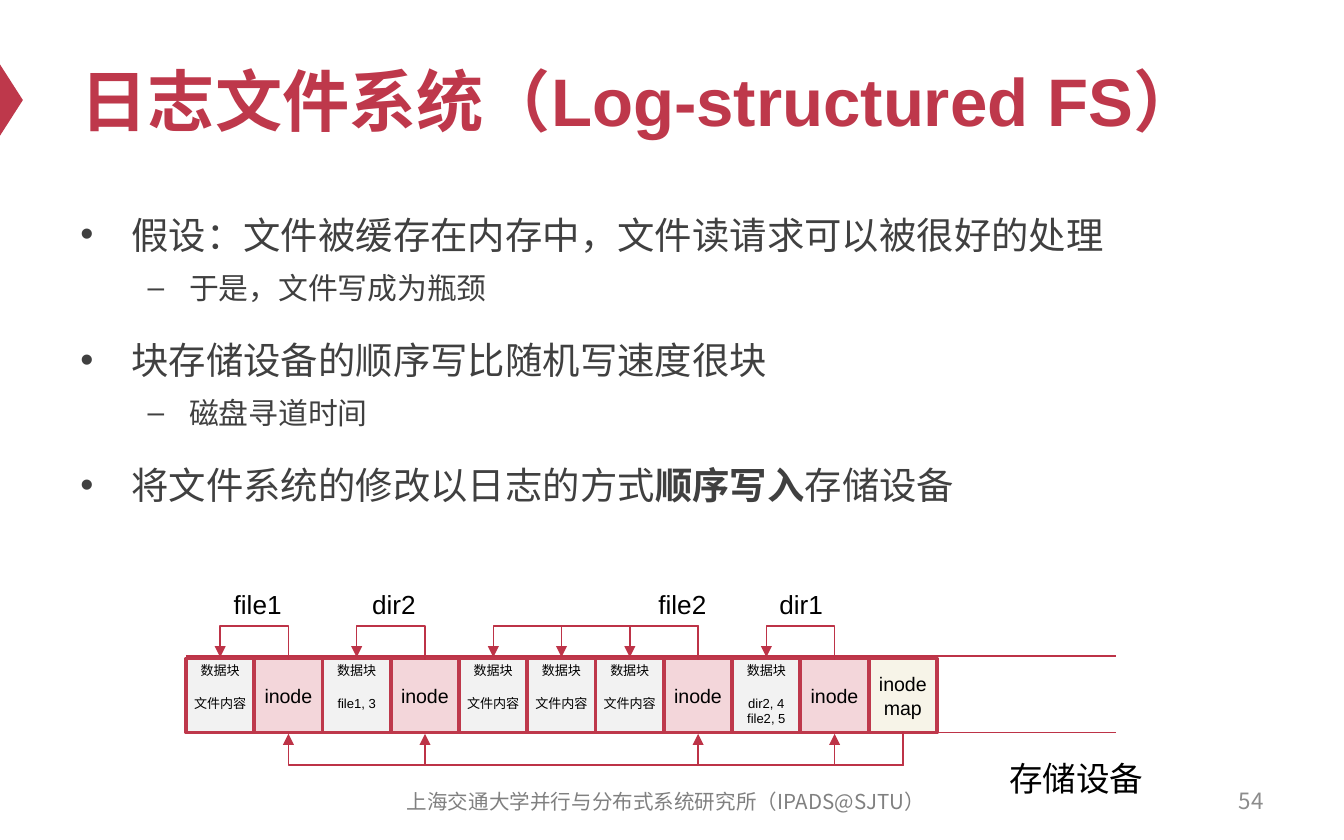
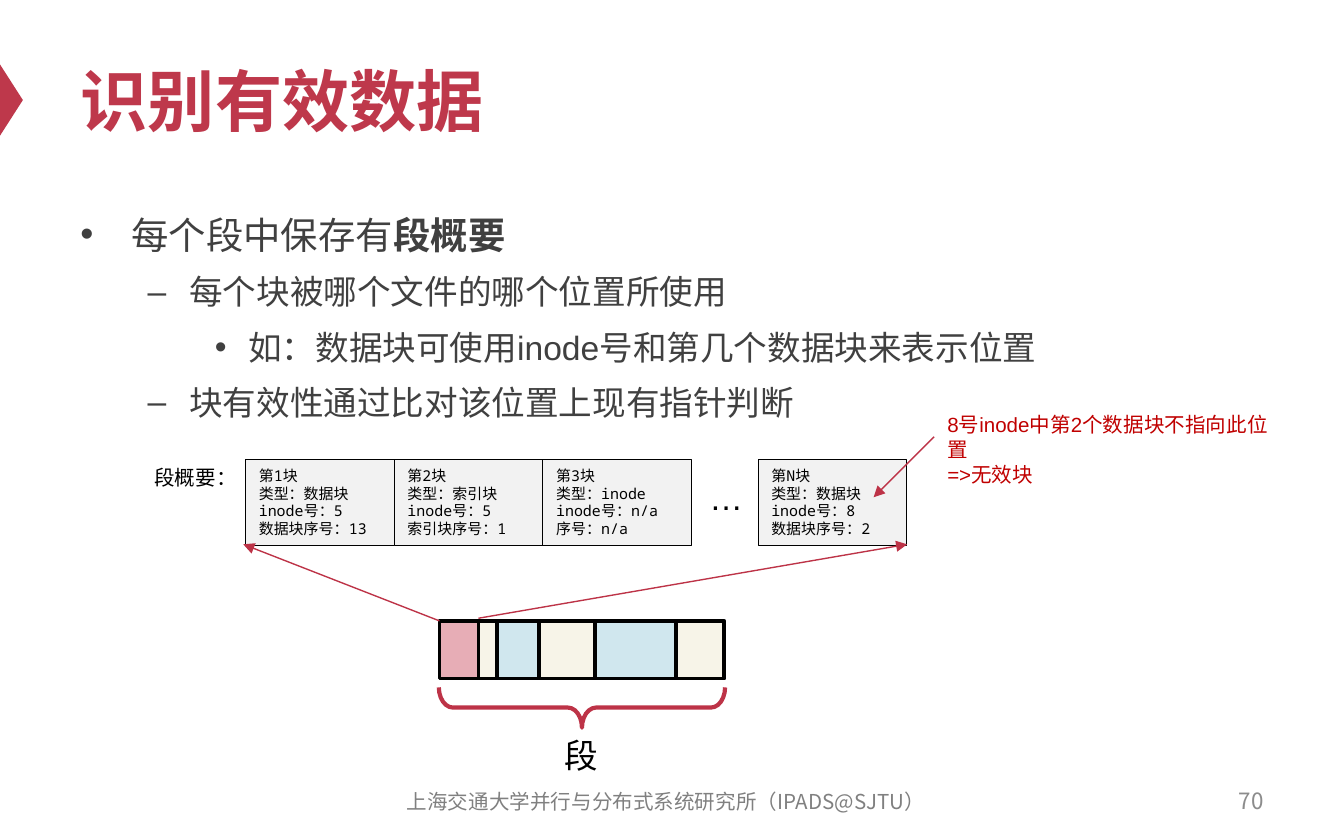
from lxml.etree import SubElement
from pptx import Presentation
from pptx.enum.shapes import MSO_CONNECTOR as Link, MSO_SHAPE as Preset
from pptx.enum.text import MSO_ANCHOR as Anchor, MSO_AUTO_SIZE as Fit, PP_ALIGN as Align
from pptx.dml.color import RGBColor
from pptx.oxml.ns import qn
from pptx.util import Inches, Pt

COLORS = {
    "brand": "BE384B", "line": "BD3347", "text": "404040", "black": "000000",
    "number": "8C8C8C", "footer": "808080", "alert": "C00000", "data": "F2F2F2",
    "inode": "F3D6DA", "cream": "F7F4E8", "blue": "D0E7EE", "pink": "E7ADB6",
}
LATIN, CJK, MONO = "Arial", "Noto Sans CJK SC", "Noto Sans Mono"
COLUMNS, ROWS = 100, 62.5
WIDTH, HEIGHT = Inches(10), Inches(6.25)
BULLETS = [("•", 0.38, 0.38), ("–", 0.81, 0.31), ("•", 1.25, 0.25)]
FOOTER = "上海交通大学并行与分布式系统研究所（IPADS@SJTU）"


def rgb(name):
    """Return the named colour."""
    return RGBColor.from_string(COLORS[name])


def write(paragraph, text, size=18, color="black", face=LATIN, bold=False,
          align=Align.LEFT, before=0):
    """Write one paragraph, where asterisks switch emphasis on and off."""
    paragraph.alignment = align
    paragraph.space_before = Pt(before)
    for order, part in enumerate(text.split("*")):
        if not part:
            continue
        run = paragraph.add_run()
        run.text = part
        font = run.font
        font.size, font.name = Pt(size), face
        font.bold = bold or order % 2 == 1
        font.color.rgb = rgb(color)
        SubElement(font._element, qn("a:ea"), typeface=CJK)


class Deck:
    """Holds the shared style and the slide being built."""

    def __init__(self):
        """Start an empty presentation."""
        self.show = Presentation()
        self.show.slide_width, self.show.slide_height = WIDTH, HEIGHT
        self.slide = None

    def place(self, left, top, width, height):
        """Turn grid columns and rows into slide lengths."""
        across, down = WIDTH / COLUMNS, HEIGHT / ROWS
        return (round(left * across), round(top * down),
                round(width * across), round(height * down))

    def page(self, title, number):
        """Add a slide with its marker, title, number and footer."""
        self.slide = self.show.slides.add_slide(self.show.slide_layouts[5])
        marker = self.shape((-1.8, 6.6, 5.3, 1.7), Preset.ISOSCELES_TRIANGLE, "brand")
        marker.rotation = 90
        heading = self.slide.shapes.title
        heading.left, heading.top, heading.width, heading.height = self.place(5, 2.5, 90, 9.8)
        self.fill(heading.text_frame, [title], Anchor.MIDDLE, size=36, color="brand", bold=True)
        self.label((71.7, 57.9, 23.3, 3.3), [number], Anchor.MIDDLE, True, size=12,
                   color="number", face=CJK, align=Align.RIGHT)
        self.label((27.9, 58, 43.3, 3.3), [FOOTER], Anchor.MIDDLE, True, size=11,
                   color="footer", face=CJK, align=Align.CENTER)

    def fill(self, frame, lines, anchor=Anchor.TOP, wrap=True, gap=0, **style):
        """Write lines into a frame, with a gap after the first."""
        frame.vertical_anchor, frame.word_wrap = anchor, wrap
        frame.auto_size = Fit.NONE
        for order, line in enumerate(lines):
            paragraph = frame.add_paragraph() if order else frame.paragraphs[0]
            write(paragraph, line, before=gap if order == 1 else 0, **style)

    def label(self, box, lines, anchor=Anchor.TOP, wrap=False, **style):
        """Add free text."""
        frame = self.slide.shapes.add_textbox(*self.place(*box)).text_frame
        self.fill(frame, lines, anchor, wrap, **style)
        if anchor == Anchor.TOP:
            frame.auto_size = Fit.SHAPE_TO_FIT_TEXT

    def bullets(self, items):
        """Add the body list from (level, size, text) items."""
        frame = self.slide.shapes.add_textbox(*self.place(5, 14.6, 90, 41.2)).text_frame
        frame.word_wrap = True
        for order, (level, size, text) in enumerate(items):
            paragraph = frame.add_paragraph() if order else frame.paragraphs[0]
            mark, margin, hang = BULLETS[level]
            paragraph.level = level
            props = paragraph._p.get_or_add_pPr()
            props.set("marL", str(Inches(margin)))
            props.set("indent", str(-Inches(hang)))
            SubElement(props, qn("a:buFont"), typeface=LATIN)
            SubElement(props, qn("a:buChar"), char=mark)
            paragraph.line_spacing = 1.2
            before = 0 if not order else 0.2 * size if level else 12
            write(paragraph, text, size=size, color="text", before=before)

    def shape(self, box, preset=Preset.RECTANGLE, fill=None, line=None, weight=2):
        """Add a preset shape."""
        shape = self.slide.shapes.add_shape(preset, *self.place(*box))
        shape.shadow.inherit = False
        if fill:
            shape.fill.solid()
            shape.fill.fore_color.rgb = rgb(fill)
        else:
            shape.fill.background()
        if line:
            shape.line.color.rgb = rgb(line)
            shape.line.width = Pt(weight)
        else:
            shape.line.fill.background()
        return shape

    def line(self, start, end, arrow=True, kind=Link.STRAIGHT):
        """Add a thin connector from start to end."""
        link = self.slide.shapes.add_connector(kind, *self.place(*start, *end))
        link.line.color.rgb = rgb("line")
        link.line.width = Pt(0.75)
        if arrow:
            SubElement(link.line._get_or_add_ln(), qn("a:tailEnd"), type="triangle")
        SubElement(link.element.spPr, qn("a:effectLst"))
        return link

    def loop(self, source, target, row, below):
        """Add an arrow that leaves a row of blocks and turns back into it."""
        depth, rise = 0.2, 2.5
        middle, half = (source + target) / 2, (source - target) / 2
        turn = half if below else -half
        link = self.line((middle - depth / 2, row - turn),
                         (middle + depth / 2, row + turn), kind=Link.ELBOW)
        props = link.element.spPr
        props.find(qn("a:xfrm")).set("rot", str((90 if below else 270) * 60000))
        guides = props.find(qn("a:prstGeom")).find(qn("a:avLst"))
        SubElement(guides, qn("a:gd"), name="adj1",
                   fmla=f"val {round(rise / depth * 100000)}")


def log_slide(deck):
    """Build the slide on the log and its blocks."""
    deck.page("日志文件系统（Log-structured FS）", "54")
    deck.bullets([
        (0, 20, "假设：文件被缓存在内存中，文件读请求可以被很好的处理"),
        (1, 16, "于是，文件写成为瓶颈"),
        (0, 20, "块存储设备的顺序写比随机写速度很块"),
        (1, 16, "磁盘寻道时间"),
        (0, 20, "将文件系统的修改以日志的方式*顺序写入*存储设备"),
    ])
    left, top, step, tall = 13.84, 49, 5.08, 5.5
    for edge in (48.8, top + tall):
        deck.line((left, edge), (83, edge), arrow=False)
    content, inode = ["数据块", "文件内容"], ["inode"]
    blocks = [content, inode, ["数据块", "file1, 3"], inode, content, content, content,
              inode, ["数据块", "dir2, 4", "file2, 5"], inode, ["inode", "map"]]
    for order, lines in enumerate(blocks):
        is_data = lines[0] == "数据块"
        fill = "data" if is_data else "inode" if lines == inode else "cream"
        block = deck.shape((left + order * step, top, step, tall), fill=fill, line="brand")
        frame = block.text_frame
        if is_data:
            frame.margin_top = Inches(0.03)
            deck.fill(frame, lines, wrap=False, gap=9, size=7, align=Align.CENTER)
        else:
            deck.fill(frame, lines, Anchor.MIDDLE, False, size=10.5, align=Align.CENTER)

    def center(order):
        """Return the middle column of a block."""
        return left + (order + 0.5) * step

    for target in (9, 7, 3, 1):
        deck.loop(center(10), center(target), top + tall, below=True)
    for source, target in ((1, 0), (7, 6), (9, 8), (3, 2), (7, 4), (7, 5)):
        deck.loop(center(source), center(target), top, below=False)
    for name, start in (("file1", 16.4), ("dir2", 26.7), ("file2", 48), ("dir1", 57)):
        deck.label((start, 43.3, 6.5, 3.4), [name], wrap=True, size=14)
    deck.label((74.1, 55.9, 12.1, 4), ["存储设备"])


def segment_slide(deck):
    """Build the slide on the segment summary."""
    deck.page("识别有效数据", "70")
    deck.bullets([
        (0, 20, "每个段中保存有*段概要*"),
        (1, 18, "每个块被哪个文件的哪个位置所使用"),
        (2, 18, "如：数据块可使用inode号和第几个数据块来表示位置"),
        (1, 18, "块有效性通过比对该位置上现有指针判断"),
    ])
    for start, width, fill in ((35.6, 18.3, "cream"), (37, 3.1, "blue"),
                               (44.3, 6, "blue"), (32.7, 2.9, "pink")):
        deck.shape((start, 46.2, width, 4.3), fill=fill, line="black")
    brace = deck.shape((41.8, 42, 3, 21.3), Preset.RIGHT_BRACE, line="line", weight=2.25)
    brace.rotation = 90
    brace.adjustments[0] = 0.35
    deck.label((41, 54.2, 4.5, 4), ["段"])
    summaries = [
        (18.27, "1", "数据块", "5", "数据块序号：13"),
        (29.33, "2", "索引块", "5", "索引块序号：1"),
        (40.39, "3", "inode", "n/a", "序号：n/a"),
        (56.4, "N", "数据块", "8", "数据块序号：2"),
    ]
    for start, number, kind, owner, place in summaries:
        card = deck.shape((start, 34.2, 11.06, 6.4), fill="data", line="black", weight=0.5)
        lines = [f"第{number}块", f"类型：{kind}", f"inode号：{owner}", place]
        deck.fill(card.text_frame, lines, size=8, face=MONO)
    deck.label((51.8, 35, 4.5, 4), ["…"])
    deck.line((32.7, 46.2), (18.1, 40.5))
    deck.line((35.6, 46), (67.5, 40.5))
    deck.label((10.5, 34.1, 8.2, 2.9), ["段概要："], size=11)
    deck.label((69.5, 30.2, 27, 4.7), ["8号inode中第2个数据块不指向此位置", "=>无效块"],
               wrap=True, size=11, color="alert")
    deck.line((69.5, 32.5), (65, 37))


def main():
    """Build and save the slides."""
    deck = Deck()
    log_slide(deck)
    segment_slide(deck)
    deck.show.save("out.pptx")


if __name__ == "__main__":
    main()
